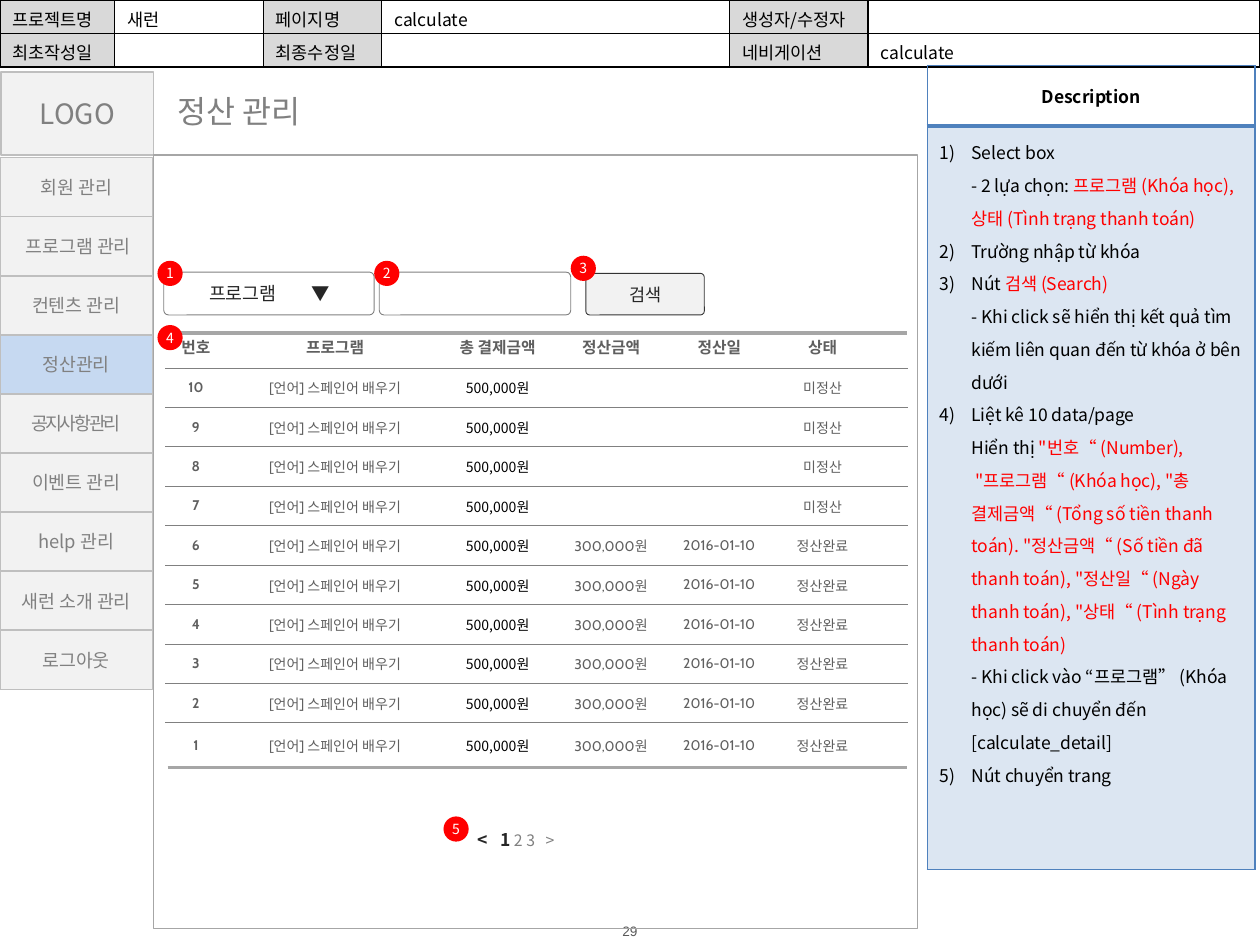
from copy import deepcopy
from dataclasses import dataclass

from lxml import etree
from pptx import Presentation
from pptx import util as u
from pptx.dml.color import RGBColor
from pptx.enum import shapes, text
from pptx.oxml.ns import qn

# Page grid: 100 columns by 75 rows
deck = Presentation()
deck.slide_width, deck.slide_height = u.Inches(10), u.Inches(7.5)
COL, ROW = deck.slide_width / 100, deck.slide_height / 75
slide = deck.slides.add_slide(deck.slide_layouts[5])

NOTO, CABIN = "Noto Sans CJK KR", "Cabin"
GREY, SOFT, PALE, RED, BLUE = "808080", "A6A6A6", "F2F2F2", "FF0000", "4F81BD"
MID, TOP = text.MSO_ANCHOR.MIDDLE, text.MSO_ANCHOR.TOP
LEFT, MIDDLE = text.PP_ALIGN.LEFT, text.PP_ALIGN.CENTER
RECT = shapes.MSO_SHAPE.RECTANGLE
ROUND = shapes.MSO_SHAPE.ROUNDED_RECTANGLE
NO_STYLE = "{2D5ABB26-0587-4C30-8999-92F81FD0307C}"


@dataclass
class Run:
    text: str
    size: float = 10
    color: str = "000000"
    font: str = NOTO
    bold: bool = False
    track: int = 0


@dataclass
class Box:
    x: float
    y: float
    w: float
    h: float

    def place(self) -> tuple:
        return tuple(round(n) for n in (self.x * COL, self.y * ROW, self.w * COL, self.h * ROW))


def hue(code: str) -> RGBColor:
    return RGBColor.from_string(code)


def put(item, vals: dict) -> None:
    for name, val in vals.items():
        setattr(item, name, val)


def pads(left: float, top: float, right: float, low: float) -> dict:
    sides = ("left", "top", "right", "bottom")
    return {f"margin_{s}": u.Inches(n) for s, n in zip(sides, (left, top, right, low))}


def write(para, runs: list, align=MIDDLE) -> None:
    para.alignment = align
    for run in runs:
        for n, part in enumerate(run.text.split("\n")):
            if n:
                para.add_line_break()
                para._p[-1].append(deepcopy(look))
            piece = para.add_run()
            piece.text = part
            put(piece.font, {"size": u.Pt(run.size), "name": run.font, "bold": run.bold})
            piece.font.color.rgb = hue(run.color)
            look = piece._r.get_or_add_rPr()
            etree.SubElement(look, qn("a:ea"), typeface=NOTO)
            if run.track:
                look.set("spc", str(run.track))


def tabs(para, *stops: float) -> None:
    bag = etree.SubElement(para._p.get_or_add_pPr(), qn("a:tabLst"))
    for stop in stops:
        etree.SubElement(bag, qn("a:tab"), pos=str(u.Inches(stop)), algn="l")


def shape(kind, box: Box, fill: str, line: str, width: float, run: Run = None, adj: float = 0):
    item = slide.shapes.add_shape(kind, *box.place())
    item.shadow.inherit = False
    if adj:
        item.adjustments[0] = adj
    if fill:
        item.fill.solid()
        item.fill.fore_color.rgb = hue(fill)
    else:
        item.fill.background()
    if line:
        item.line.color.rgb = hue(line)
        item.line.width = u.Pt(width)
    else:
        item.line.fill.background()
    item.text_frame.vertical_anchor = MID
    if run:
        write(item.text_frame.paragraphs[0], [run])
    return item


def rule(y: float, width: float) -> None:
    start, level, end = round(13.3 * COL), round(y * ROW), round(72 * COL)
    line = slide.shapes.add_connector(shapes.MSO_CONNECTOR.STRAIGHT, start, level, end, level)
    line.line.color.rgb = hue(SOFT)
    line.line.width = u.Pt(width)
    etree.SubElement(line._element.spPr, qn("a:effectLst"))


def grid(x: float, y: float, cols: list, rows: list):
    box = Box(x, y, sum(cols), sum(rows))
    table = slide.shapes.add_table(len(rows), len(cols), *box.place()).table
    put(table, {"first_row": False, "horz_banding": False})
    table._tbl.tblPr.find(qn("a:tableStyleId")).text = NO_STYLE
    for n, wide in enumerate(cols):
        table.columns[n].width = round(wide * COL)
    for n, high in enumerate(rows):
        table.rows[n].height = round(high * ROW)
    return table


def cell(item, runs: list, fill: str, edges: dict, form: dict, align=MIDDLE) -> None:
    put(item, form)
    props = item._tc.get_or_add_tcPr()
    for side in "LRTB":
        if side in edges:
            color, width = edges[side]
            line = etree.SubElement(props, qn(f"a:ln{side}"), w=str(u.Pt(width)))
            paint = etree.SubElement(line, qn("a:solidFill"))
            etree.SubElement(paint, qn("a:srgbClr"), val=color)
    if fill:
        item.fill.solid()
        item.fill.fore_color.rgb = hue(fill)
    else:
        item.fill.background()
    para = item.text_frame.paragraphs[0]
    write(para, runs, align)
    if not runs:
        etree.SubElement(para._p, qn("a:endParaRPr"), sz="800")


# Page number
page = slide.shapes.add_textbox(*Box(45.7, 73.2, 8.6, 1.4).place()).text_frame
put(page, pads(0, 0, 0, 0) | {"word_wrap": True, "vertical_anchor": MID})
write(page.paragraphs[0], [Run("29", 7.8, "595959", "Arial")])

# Project facts
facts = [["프로젝트명", "새런", "페이지명", "calculate", "생성자/수정자", ""],
         ["최초작성일", "", "최종수정일", "", "네비게이션", "calculate"]]
table = grid(0, 0, [9.1, 11.8, 9.4, 27.6, 11, 31.1], [2.65, 2.65])
for r, line in enumerate(facts):
    for c, word in enumerate(line):
        cell(table.cell(r, c), [Run(word)] if word else [], "" if c % 2 else "D9D9D9",
             dict.fromkeys("LRTB", ("000000", 1)), pads(0.1, 0.05, 0.05, 0), LEFT)

# Description
notes = [
    [Run("Select box\n- 2 lựa chọn: "),
     Run("프로그램 (Khóa học), 상태 (Tình trạng thanh toán)", color=RED)],
    [Run("Trường nhập từ khóa")],
    [Run("Nút "), Run("검색 (Search) \n", color=RED),
     Run("- Khi click sẽ hiển thị kết quả tìm kiếm liên quan đến từ khóa ở bên dưới")],
    [Run("Liệt kê 10 data/page\nHiển thị "),
     Run('"번호“ (Number), "프로그램“ (Khóa học), "총 결제금액“ (Tổng số tiền thanh toán). '
         '"정산금액“ (Số tiền đã thanh toán), "정산일“ (Ngày thanh toán), '
         '"상태“ (Tình trạng thanh toán) \n', color=RED),
     Run("- Khi click vào “프로그램” (Khóa học) sẽ di chuyển đến [calculate_detail]")],
    [Run("Nút chuyển trang")],
]
table = grid(73.6, 5.2, [26], [4.8, 59])
edges = dict.fromkeys("LRTB", (BLUE, 1))
cell(table.cell(0, 0), [Run("Description", bold=True)], "", edges | {"B": (BLUE, 2)},
     {"vertical_anchor": MID})
body = table.cell(1, 0)
cell(body, notes[0], "DCE6F2", edges | {"T": (BLUE, 2)}, {"vertical_anchor": TOP}, LEFT)
for note in notes[1:]:
    write(body.text_frame.add_paragraph(), note, LEFT)
for para in body.text_frame.paragraphs:
    para.line_spacing = 1.3
    props = para._p.get_or_add_pPr()
    for name, val in {"marL": u.Inches(0.25), "indent": -u.Inches(0.25)}.items():
        props.set(name, str(val))
    etree.SubElement(props, qn("a:buFont"), typeface="+mj-lt")
    etree.SubElement(props, qn("a:buAutoNum"), type="arabicParenR")

# Title
title = slide.shapes.title
put(title, dict(zip(("left", "top", "width", "height"), Box(13.1, 6.8, 13, 4).place())))
put(title.text_frame, {"word_wrap": False, "vertical_anchor": TOP})
write(title.text_frame.paragraphs[0], [Run("정산 관리", 18, GREY)], LEFT)

# Side menu
shape(RECT, Box(0.1, 5.7, 12.1, 6.6), PALE, "BFBFBF", 1, Run("LOGO", 16, GREY))
menu = ["회원 관리", " 프로그램 관리", "컨텐츠 관리", "정산관리", "공지사항 관리",
        "이벤트 관리", "help 관리", "새런 소개 관리", "로그아웃"]
for n, word in enumerate(menu):
    shape(RECT, Box(0, 12.5 + 4.69 * n, 12.1, 4.7), "C6D9F1" if n == 3 else PALE, "BFBFBF", 1,
          Run(word, 10.5, GREY, track=-150 if n == 4 else 0))

# Settlement list
heads = ["번호", "프로그램", "총 결제금액", "정산금액", "정산일", "상태", ""]
lines = [[Run(word, 9, "5F5F5F", CABIN, True) for word in heads]]
for n in range(10, 0, -1):
    paid = ["300,000원", "2016-01-10", "정산완료"] if n < 7 else ["", "", "미정산"]
    words = [str(n), "[언어] 스페인어 배우기", "500,000원", *paid, ""]
    line = [Run(word, 8, "5F5F5F", CABIN, c == 0) for c, word in enumerate(words)]
    put(line[2], {"color": "000000", "font": NOTO})
    lines.append(line)
table = grid(13.1, 25.9, [4.9, 17.2, 8.6, 9.4, 7.8, 8.6, 2.5], [3.3] + [3.13] * 9 + [3.6])
for r, line in enumerate(lines):
    edges = {"T": (GREY, 0.5)} if r else {}
    if r < 10:
        edges["B"] = (GREY, 0.5)
    for c, run in enumerate(line):
        cell(table.cell(r, c), [run] if run.text else [], "", edges,
             pads(0.09, 0.05, 0.09, 0.05) | {"vertical_anchor": MID})
rule(26.4, 2.25)
rule(60.9, 1.5)

# Search bar
pick = shape(ROUND, Box(13, 21.6, 16.7, 3.4), "FFFFFF", GREY, 0.5, adj=0.11).text_frame
put(pick, pads(0.35, 0.07, 0.11, 0.07))
write(pick.paragraphs[0], [Run("프로그램\t▼", 10.5, "262626")], LEFT)
tabs(pick.paragraphs[0], 0.81)
shape(ROUND, Box(30.1, 21.6, 15.2, 3.4), "FFFFFF", GREY, 0.5, adj=0.11)
shape(ROUND, Box(46.5, 21.7, 9.4, 3.3), PALE, "333333", 0.5,
      Run("검색", 10, "262626", "Calibri"), 0.09)

# Pager
pager = slide.shapes.add_textbox(*Box(34.4, 65.3, 13.3, 2.7).place()).text_frame
put(pager, pads(0.35, 0.05, 0.1, 0.05) | {"word_wrap": True})
write(pager.paragraphs[0], [Run("<\t1", 10, "262626", bold=True), Run(" 2 3\t>", 9, GREY)], LEFT)
tabs(pager.paragraphs[0], 0.18, 0.54)

# Numbered marks
marks = [(12.5, 20.7), (29.7, 20.7), (45.3, 20.3), (12.5, 25.8), (35.2, 64.8)]
for n, (x, y) in enumerate(marks, 1):
    mark = shape(shapes.MSO_SHAPE.OVAL, Box(x, y, 2, 2), RED, "", 0, Run(str(n), 8, "FFFFFF"))
    put(mark.text_frame, pads(0, 0, 0, 0))

# Content frame
shape(RECT, Box(12.2, 12.3, 60.6, 61.4), "", SOFT, 0.75)

deck.save("out.pptx")
